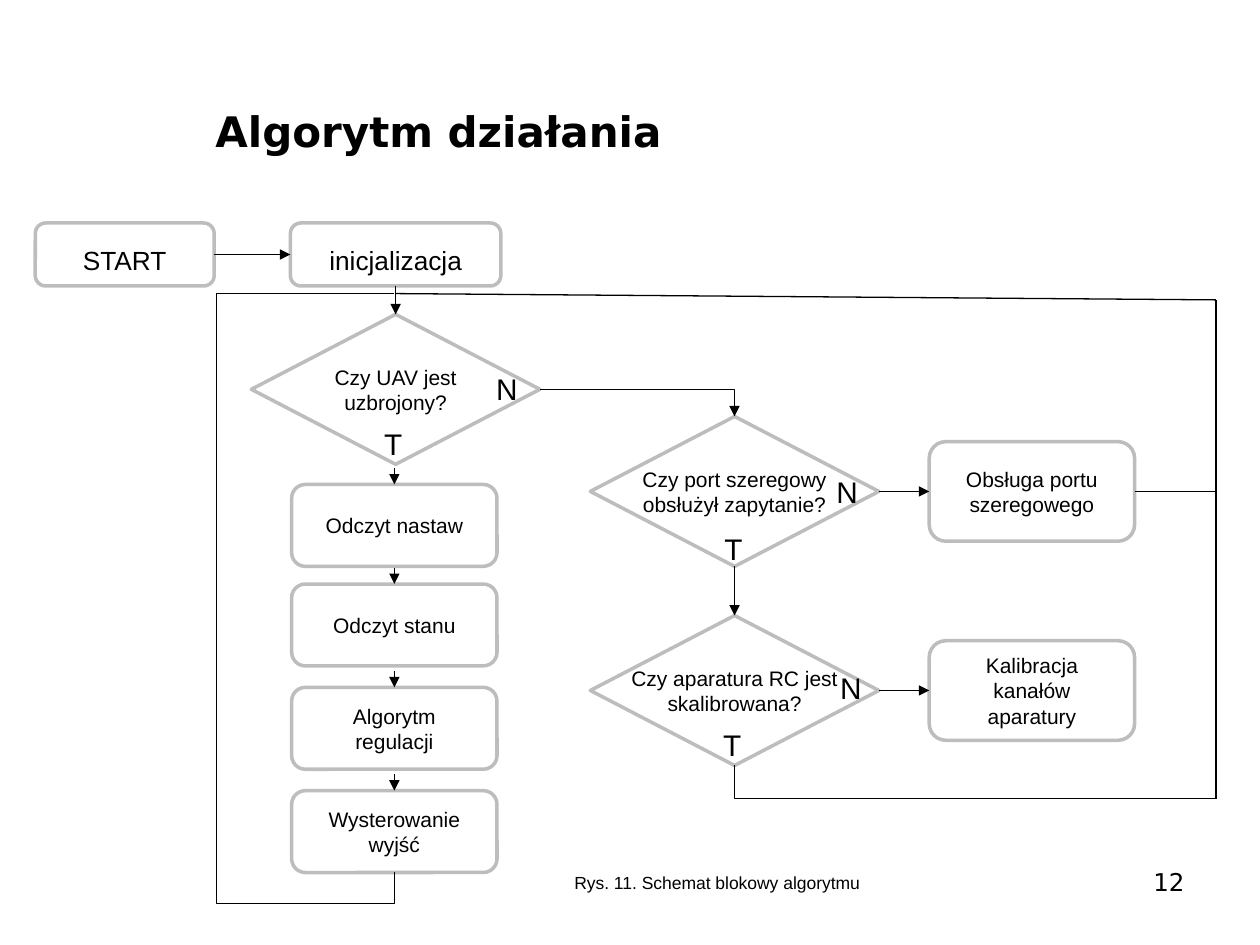
import pptx
import pptx.util
import pptx.dml.color
import pptx.oxml
import pptx.oxml.ns
import pptx.enum.shapes
import pptx.enum.text

SHAPE = pptx.enum.shapes.MSO_SHAPE
LINK = pptx.enum.shapes.MSO_CONNECTOR
ALIGN = pptx.enum.text.PP_ALIGN
ANCHOR = pptx.enum.text.MSO_ANCHOR
INCH = pptx.util.Inches

BLACK, WHITE, GREY = "000000", "FFFFFF", "BDBDBD"
COLS = {"start": 0.99, "main": 3.14, "task": 3.13, "check": 5.83, "service": 8.19, "return": 9.65, "loop": 1.72}
ROWS = {"start": 2.02, "merge": 2.33, "armed": 3.09, "port": 3.9, "radio": 5.48, "exit": 6.34, "end": 7.17,
        "settings": 4.17, "state": 4.96, "control": 5.78, "output": 6.6}
KINDS = {
    "start": (SHAPE.FLOWCHART_ALTERNATE_PROCESS, 1.42, 0.5, 0.2, 15),
    "init": (SHAPE.FLOWCHART_ALTERNATE_PROCESS, 1.67, 0.5, 0.04, 15),
    "decision": (SHAPE.FLOWCHART_DECISION, 2.29, 1.19, 0.2, 12),
    "service": (SHAPE.FLOWCHART_ALTERNATE_PROCESS, 1.63, 0.79, 0.14, 12),
    "task": (SHAPE.FLOWCHART_ALTERNATE_PROCESS, 1.63, 0.65, 0.14, 12),
}
STEPS = [
    ("START", "start", "start", "start"),
    ("inicjalizacja", "init", "main", "start"),
    ("Czy UAV jest uzbrojony?", "decision", "main", "armed"),
    ("Czy port szeregowy obsłużył zapytanie?", "decision", "check", "port"),
    ("Czy aparatura RC jest skalibrowana?", "decision", "check", "radio"),
    ("Obsługa portu szeregowego", "service", "service", "port"),
    ("Kalibracja kanałów aparatury", "service", "service", "radio"),
    ("Odczyt nastaw", "task", "task", "settings"),
    ("Odczyt stanu", "task", "task", "state"),
    ("Algorytm regulacji", "task", "task", "control"),
    ("Wysterowanie wyjść", "task", "task", "output"),
]
ANSWERS = [
    ("N", 3.84, 2.89), ("T", 2.95, 3.33),
    ("N", 6.54, 3.71), ("T", 5.65, 4.16),
    ("N", 6.57, 5.27), ("T", 5.64, 5.72),
]
TASK_GAP = 0.13


def colour(value):
    return pptx.dml.color.RGBColor.from_string(value)


def write(frame, text, size, font="Arial", align=ALIGN.LEFT, bold=False, anchor=ANCHOR.TOP, wrap=True):
    frame.text = text
    for name, value in {"word_wrap": wrap, "vertical_anchor": anchor}.items():
        setattr(frame, name, value)
    paragraph = frame.paragraphs[0]
    paragraph.alignment = align
    run_font = paragraph.runs[0].font
    for name, value in {"size": pptx.util.Pt(size), "name": font, "bold": bold}.items():
        setattr(run_font, name, value)
    run_font.color.rgb = colour(BLACK)


def add_text(left, top, width, height, text, size, **style):
    box = slide.shapes.add_textbox(*map(INCH, (left, top, width, height)))
    write(box.text_frame, text, size, **style)


def outline(part, value, width):
    part.line.color.rgb = colour(value)
    part.line.width = pptx.util.Pt(width)


def add_step(text, kind, col, row):
    preset, width, height, inset, size = KINDS[kind]
    x, y = COLS[col], ROWS[row]
    step = slide.shapes.add_shape(preset, *map(INCH, (x - width / 2, y - height / 2, width, height)))
    step.shadow.inherit = False
    step.fill.solid()
    step.fill.fore_color.rgb = colour(WHITE)
    outline(step, GREY, 2)
    drop = 0.04 if size == 15 else 0
    add_text(x - width / 2 + inset, y - height / 2 + drop, width - 2 * inset, height, text, size,
             align=ALIGN.CENTER, anchor=ANCHOR.MIDDLE)


def add_link(start, end, arrow=False, bent=False):
    link = slide.shapes.add_connector(LINK.ELBOW if bent else LINK.STRAIGHT, *map(INCH, start + end))
    outline(link, BLACK, 0.75)
    properties = link._element.spPr
    if bent:
        properties.find(pptx.oxml.ns.qn("a:prstGeom")).set("prst", "bentConnector2")
    if arrow:
        tail = pptx.oxml.parse_xml(f'<a:tailEnd {pptx.oxml.ns.nsdecls("a")} type="triangle"/>')
        link.line._get_or_add_ln().append(tail)
    properties.append(pptx.oxml.parse_xml(f'<a:effectLst {pptx.oxml.ns.nsdecls("a")}/>'))


def add_path(points):
    corners = [tuple(map(INCH, point)) for point in points]
    builder = slide.shapes.build_freeform(*corners[0])
    builder.add_line_segments(corners[1:], close=False)
    route = builder.convert_to_shape()
    route.shadow.inherit = False
    route.fill.background()
    outline(route, BLACK, 0.75)


def half(kind):
    return KINDS[kind][1] / 2, KINDS[kind][2] / 2


deck = pptx.Presentation()
deck.slide_width, deck.slide_height = INCH(10), INCH(7.5)
slide = deck.slides.add_slide(deck.slide_layouts[5])

title = slide.shapes.title
for side, length in {"left": 1.61, "top": 0.52, "width": 7.89, "height": 1.03}.items():
    setattr(title, side, INCH(length))
write(title.text_frame, "Algorytm działania", 24, font="DejaVu Sans", bold=True, anchor=ANCHOR.MIDDLE)

for step in STEPS:
    add_step(*step)
for answer, left, top in ANSWERS:
    add_text(left, top, 0.36, 0.39, answer, 17, wrap=False)

decision_x, decision_y = half("decision")
service_x, _ = half("service")
_, task_y = half("task")
start_x, start_y = half("start")
main, check, back = COLS["main"], COLS["check"], COLS["return"]
task, loop = COLS["task"], COLS["loop"]

add_link((COLS["start"] + start_x, ROWS["start"]), (main - half("init")[0], ROWS["start"]), arrow=True)
add_link((main, ROWS["start"] + start_y), (main, ROWS["armed"] - decision_y), arrow=True)
add_link((main + decision_x, ROWS["armed"]), (check, ROWS["port"] - decision_y), arrow=True, bent=True)
add_link((check, ROWS["port"] + decision_y), (check, ROWS["radio"] - decision_y), arrow=True)
for row in ("port", "radio"):
    add_link((check + decision_x, ROWS[row]), (COLS["service"] - service_x, ROWS[row]), arrow=True)
for row in ("settings", "state", "control", "output"):
    top = ROWS[row] - task_y
    add_link((task, top - TASK_GAP), (task, top), arrow=True)

add_link((back, ROWS["exit"]), (check, ROWS["radio"] + decision_y), bent=True)
add_link((back, ROWS["exit"]), (back, 2.38))
add_link((back, 2.38), (main, ROWS["merge"]))
add_link((COLS["service"] + service_x, ROWS["port"]), (back, ROWS["port"]))
add_path([(task, ROWS["output"] + task_y), (task, ROWS["end"]), (loop, ROWS["end"]),
          (loop, ROWS["merge"]), (task, ROWS["merge"])])

add_text(4.46, 6.87, 3.3, 0.27, "Rys. 11. Schemat blokowy algorytmu", 10)
add_text(7.17, 6.83, 2.33, 0.52, "12", 14, font="DejaVu Sans", align=ALIGN.RIGHT)

deck.save("out.pptx")
